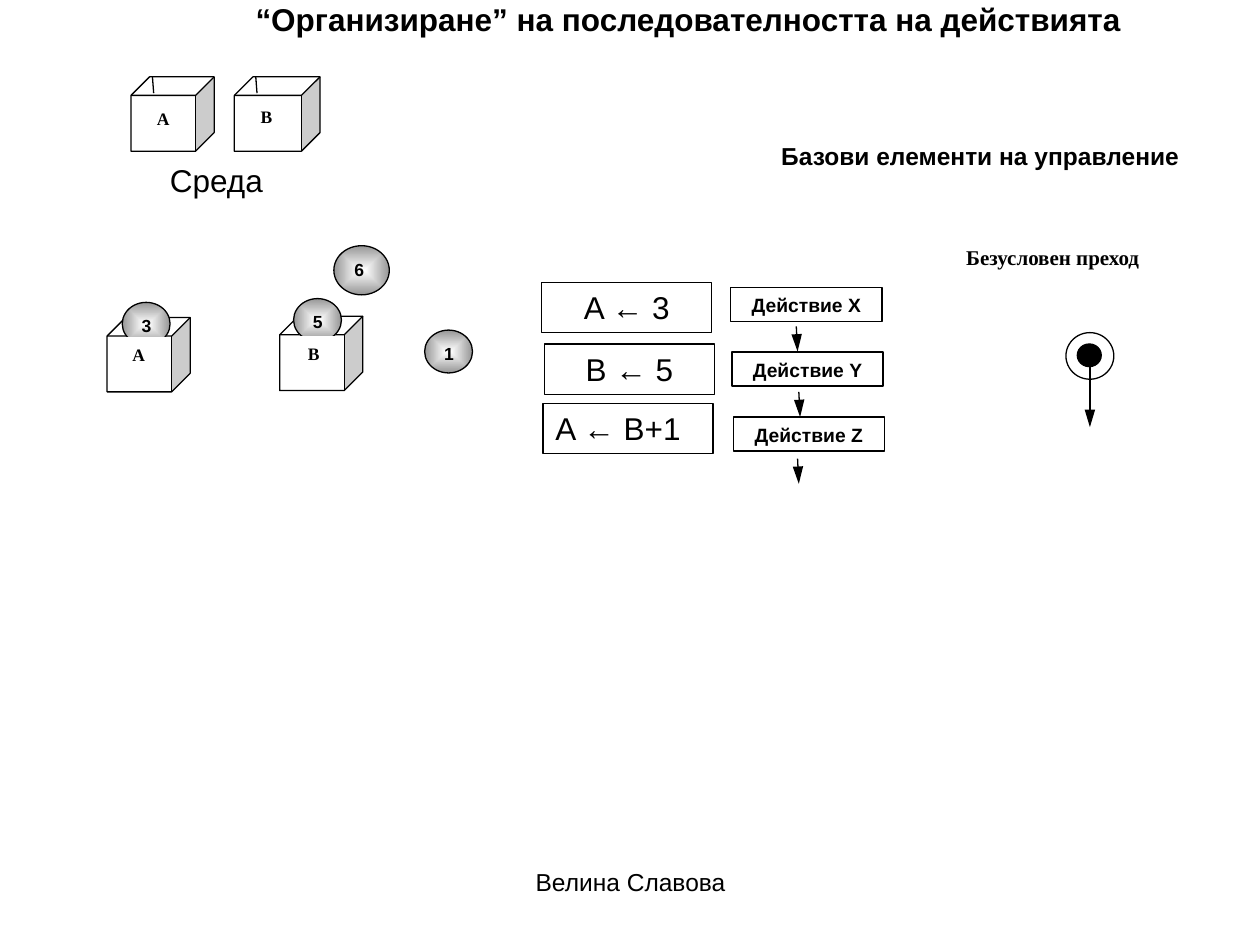
from pptx import Presentation
from pptx.dml.color import RGBColor
from pptx.enum.shapes import MSO_CONNECTOR, MSO_SHAPE
from pptx.enum.text import MSO_ANCHOR, PP_ALIGN
from pptx.oxml import parse_xml
from pptx.oxml.ns import nsdecls, qn
from pptx.util import Inches, Pt

RECT, OVAL, CUBE = MSO_SHAPE.RECTANGLE, MSO_SHAPE.OVAL, MSO_SHAPE.CUBE
STRAIGHT = MSO_CONNECTOR.STRAIGHT
LEFT, CENTER = PP_ALIGN.LEFT, PP_ALIGN.CENTER
TOP = MSO_ANCHOR.TOP
SANS, SERIF = "Arial", "Times New Roman"
BLACK, WHITE, GREY = "000000", "FFFFFF", "969696"


def color(code):
    return RGBColor.from_string(code)


class Page:
    """Style and drawing methods for the current slide."""

    def __init__(self, slide):
        self.slide = slide
        self.shapes = slide.shapes
        self.width = Pt(0.75)

    def letter(self, shape, text, size, bold=False, font=SANS, align=CENTER):
        """Put styled text into a shape."""
        frame = shape.text_frame
        frame.text = text
        frame.word_wrap = True
        frame.vertical_anchor = TOP
        par = frame.paragraphs[0]
        par.alignment = align
        style = par.runs[0].font
        style.name, style.size, style.bold = font, Pt(size), bold
        style.color.rgb = color(BLACK)

    def text(self, box, text, size, **style):
        shape = self.shapes.add_textbox(*map(Inches, box))
        self.letter(shape, text, size, **style)
        return shape

    def shape(self, kind, box, fill=WHITE, line=BLACK):
        """Add an outlined shape; fill None leaves it open."""
        shape = self.shapes.add_shape(kind, *map(Inches, box))
        shape.shadow.inherit = False
        if fill:
            shape.fill.solid()
            shape.fill.fore_color.rgb = color(fill)
        else:
            shape.fill.background()
        shape.line.color.rgb = color(line)
        shape.line.width = self.width
        return shape

    def line(self, start, end, arrow=False):
        line = self.shapes.add_connector(STRAIGHT, *map(Inches, start + end))
        line.line.color.rgb = color(BLACK)
        line.line.width = self.width
        props = line._element.spPr
        if arrow:
            props.find(qn("a:ln")).append(parse_xml(
                f'<a:tailEnd {nsdecls("a")} type="triangle" w="med" len="lg"/>'))
        props.append(parse_xml(f'<a:effectLst {nsdecls("a")}/>'))

    def cube(self, x, y, width=0.66):
        """Add an open box with the tick of its back edge."""
        self.shape(CUBE, (x, y, width, 0.59)).adjustments[0] = 0.25
        self.line((x + 0.17, y), (x + 0.18, y + 0.13))

    def label(self, box, text):
        """Cover the front of a cube with its name."""
        shape = self.shape(RECT, box, line=WHITE)
        self.letter(shape, text, 10, bold=True, font=SERIF)

    def ball(self, x, y, text, width=0.38, height=0.34):
        """Add a numbered ball shaded from its centre."""
        shape = self.shape(OVAL, (x, y, width, height))
        shape.fill.gradient()
        for stop, code in zip(shape.fill.gradient_stops, (WHITE, GREY)):
            stop.color.rgb = color(code)
        grad = shape._element.spPr.find(qn("a:gradFill"))
        grad.replace(grad.find(qn("a:lin")), parse_xml(
            f'<a:path {nsdecls("a")} path="rect"><a:fillToRect '
            'l="50000" t="50000" r="50000" b="50000"/></a:path>'))
        self.letter(shape, text, 10, bold=True, align=LEFT)

    def box(self, box, text, size, fill=None, bold=False, align=CENTER):
        shape = self.shape(RECT, box, fill)
        self.letter(shape, text, size, bold=bold, align=align)


def main():
    deck = Presentation()
    deck.slide_width, deck.slide_height = Inches(10), Inches(7.5)
    page = Page(deck.slides.add_slide(deck.slide_layouts[6]))

    title = page.text((1.93, 0, 7.4, 0.4),
                      "“Организиране” на последователността на действията",
                      18, bold=True, align=LEFT)
    title.text_frame.margin_top = 0
    page.text((5.56, 1.07, 4.44, 0.4), "Базови елементи на управление",
              14, bold=True)
    page.text((7.57, 1.89, 2.25, 0.51), "Безусловен преход",
              12, bold=True, font=SERIF, align=LEFT)
    page.text((1.25, 1.23, 0.94, 0.4), "Среда", 18, align=LEFT)
    page.text((3.42, 6.83, 3.17, 0.52), "Велина Славова", 14)

    # Empty boxes
    page.cube(1.04, 0.61)
    page.label((1.09, 0.81, 0.41, 0.36), "А")
    page.cube(1.86, 0.61, 0.68)
    page.label((1.88, 0.79, 0.47, 0.38), "B")

    # Boxes holding a ball, and loose balls
    page.cube(0.85, 2.52)
    page.ball(0.97, 2.4, "3")
    page.label((0.87, 2.68, 0.46, 0.39), "А")
    page.cube(2.22, 2.51)
    page.ball(2.33, 2.37, "5")
    page.label((2.26, 2.67, 0.46, 0.39), "B")
    page.ball(3.37, 2.62, "1")
    page.ball(2.65, 1.95, "6", 0.44, 0.39)

    # Assignments
    for x, y, text, align in ((4.3, 2.24, "A ← 3", CENTER),
                              (4.32, 2.73, "B ← 5", CENTER),
                              (4.31, 3.2, "A ← B+1", LEFT)):
        page.box((x, y, 1.35, 0.4), text, 18, align=align)

    # Sequence of actions
    for i, name in enumerate("XYZ"):
        page.box((5.8 + 0.01 * i, 2.28 + 0.515 * i, 1.2, 0.27),
                 f"Действие {name}", 11, fill=WHITE, bold=True)
    for x, y in ((6.32, 2.59), (6.34, 3.11), (6.33, 3.64)):
        page.line((x, y), (x + 0.01, y + 0.2), arrow=True)

    # Unconditional jump
    page.shape(OVAL, (8.46, 2.64, 0.38, 0.37))
    page.shape(OVAL, (8.55, 2.73, 0.19, 0.18), BLACK)
    page.line((8.65, 2.82), (8.65, 3.39), arrow=True)

    deck.save("out.pptx")


if __name__ == "__main__":
    main()
